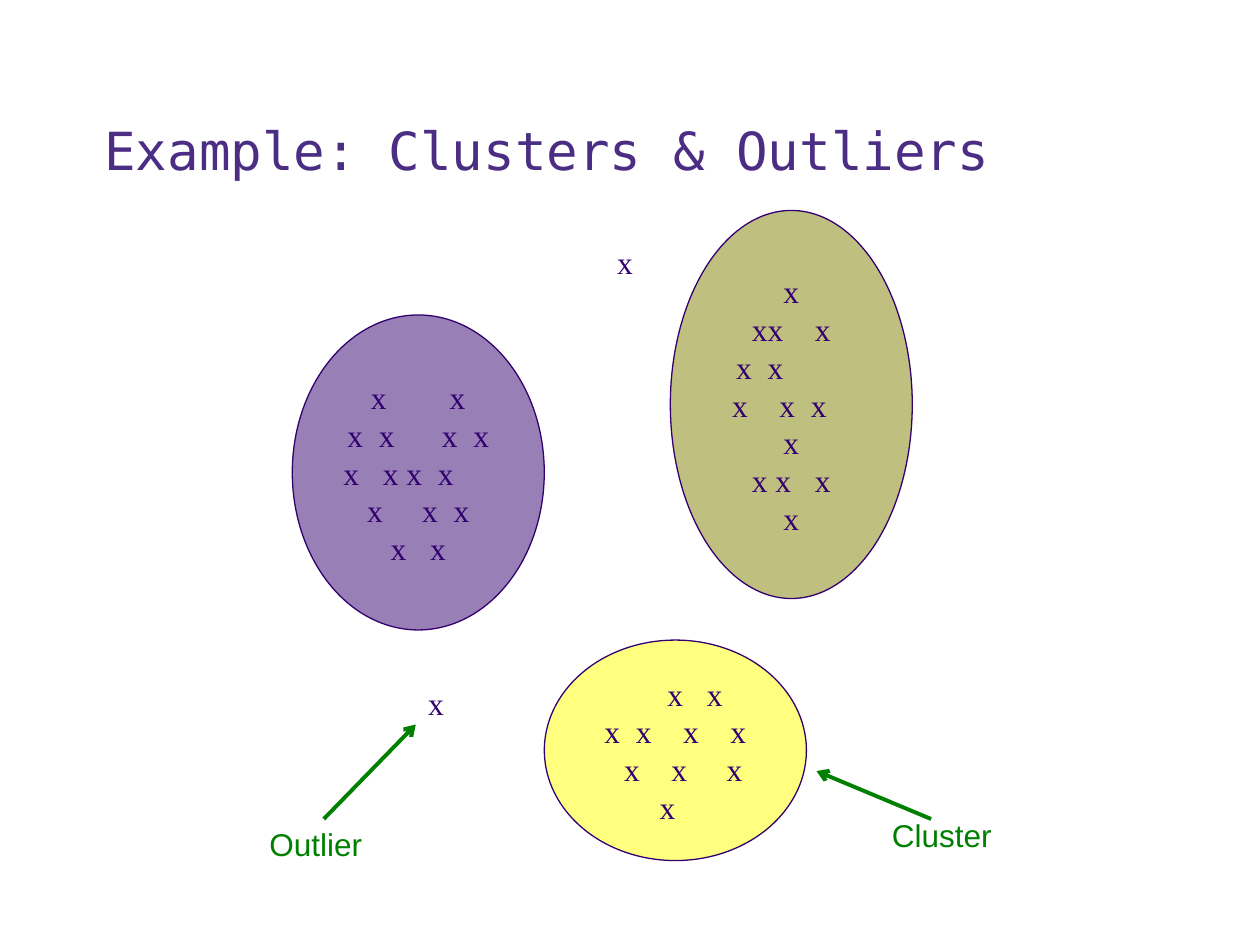
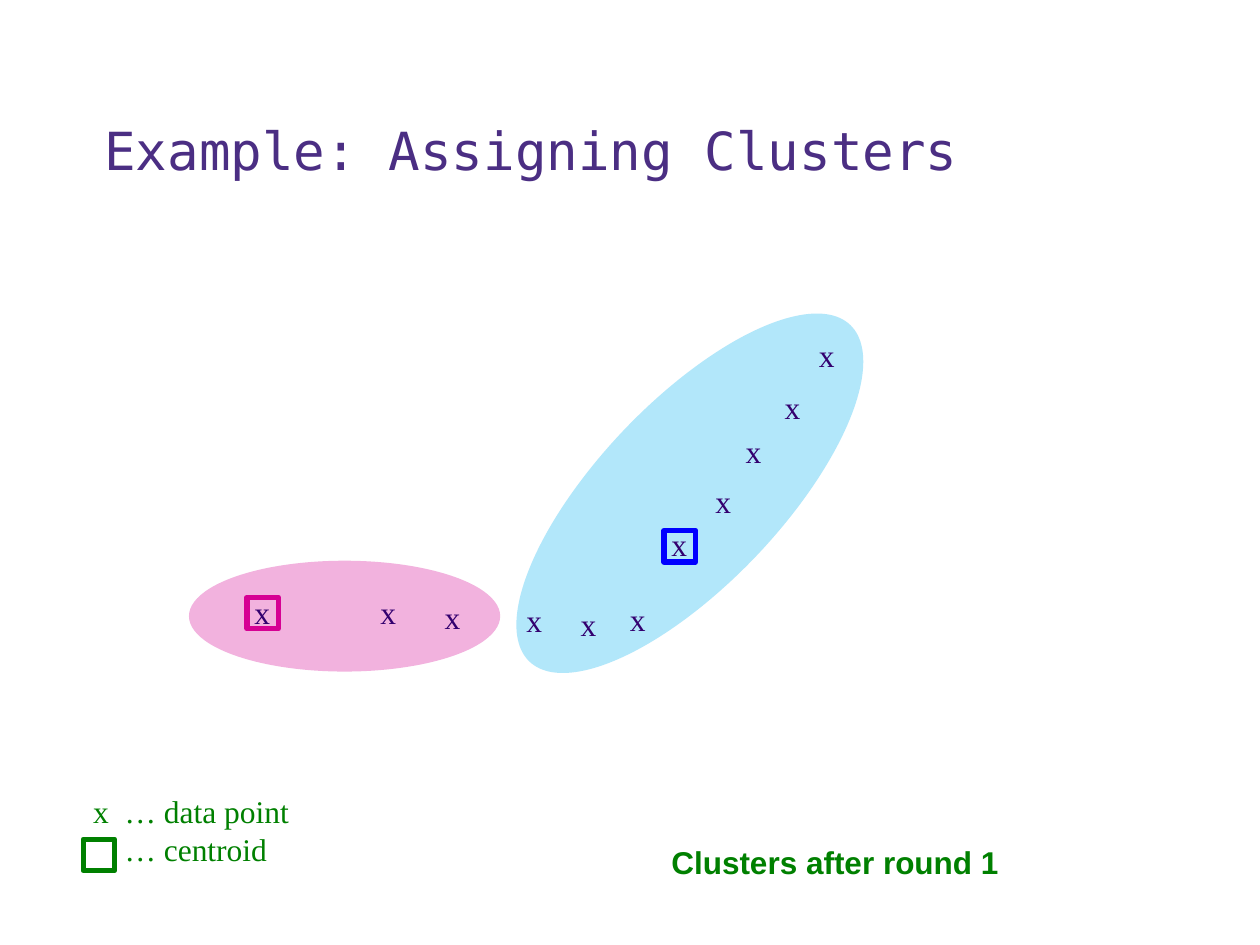
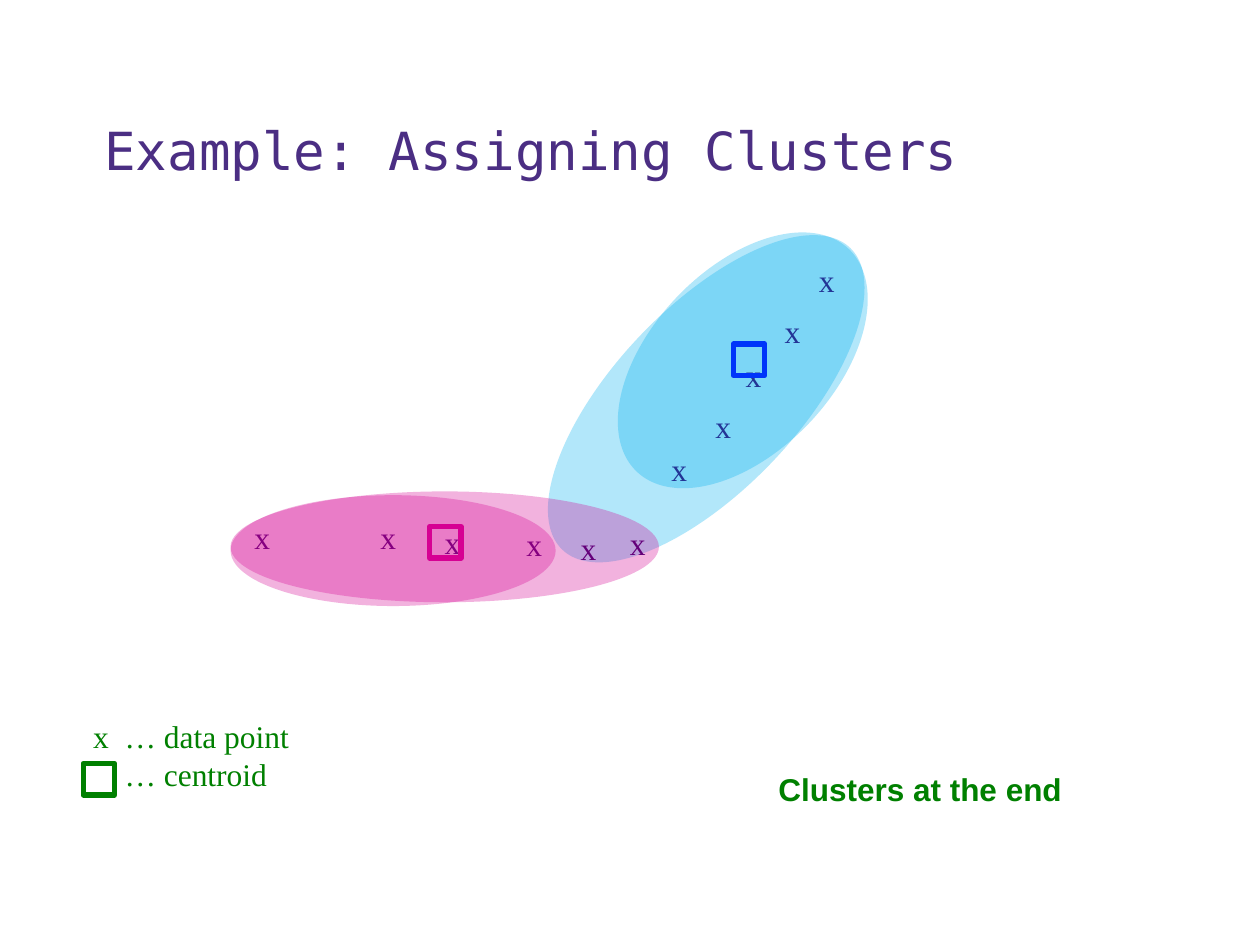
from lxml import etree
from pptx import Presentation
from pptx.dml.color import RGBColor
from pptx.enum.shapes import MSO_CONNECTOR as CONN, MSO_SHAPE as SHAPE
from pptx.enum.text import MSO_ANCHOR as ANCHOR
from pptx.oxml.ns import qn
from pptx.util import Inches, Pt

PURPLE = RGBColor(0x4B, 0x2E, 0x83)
INDIGO = RGBColor(0x33, 0x00, 0x6F)
GREEN = RGBColor(0x00, 0x80, 0x00)
OLIVE = RGBColor(0x80, 0x80, 0x00)
YELLOW = RGBColor(0xFF, 0xFF, 0x00)
PINK = RGBColor(0xD6, 0x00, 0x93)
SKY = RGBColor(0x00, 0xB0, 0xF0)
BLUE = RGBColor(0x00, 0x00, 0xFF)

MONO, SERIF, SANS = "DejaVu Sans Mono", "Times New Roman", "Arial"
COLS, ROWS = 10, 7.5  # slide grid, one inch per cell
CELL = Inches(1)
TITLE_BOX = (0.73, 0.41, 8.95, 1.08)
CHAR = 1 / 16  # column width inside a cluster: half the width of an x
INSCRIBED = 0.5 ** 0.5  # share of an ellipse's width open to text
TILT = 43.6

# Each row maps centres, in CHAR columns from the cluster's centre, to markers
CLUSTERS = [
    ((2.32, 2.5, 2, 2.5), INDIGO,
     [{-5: "x", 5: "x"}, {-8: "x", -4: "x", 4: "x", 8: "x"}, {-8.5: "x", -2: "x x", 3.5: "x"},
      {-5.5: "x", 1.5: "x", 5.5: "x"}, {-2.5: "x", 2.5: "x"}]),
    ((5.32, 1.67, 1.92, 3.08), OLIVE,
     [{0: "x"}, {-3: "xx", 4: "x"}, {-6: "x", -2: "x"}, {-6.5: "x", -0.5: "x", 3.5: "x"},
      {0: "x"}, {-2.5: "x x", 4: "x"}, {0: "x"}]),
    ((4.32, 5.08, 2.08, 1.75), YELLOW,
     [{0: "x", 5: "x"}, {-8: "x", -4: "x", 2: "x", 8: "x"},
      {-5.5: "x", 0.5: "x", 7.5: "x"}, {-1: "x"}]),
]
OUTLIERS = [(4.8, 1.88), (3.3, 5.38)]
# Label, its box, then the start and end of its arrow
CALLOUTS = [
    ("Outlier", (2.04, 6.5, 0.95, 0.4), (2.57, 6.5), (3.3, 5.75)),
    ("Cluster", (6.98, 6.43, 1, 0.4), (7.39, 6.5), (6.48, 6.12)),
]
# Relative to the corner of the scatter region
POINTS = [(0.42, 2.16), (1.42, 2.16), (1.93, 2.2), (2.58, 2.22), (3.01, 2.25), (3.4, 2.21),
          (3.73, 1.62), (4.08, 1.28), (4.32, 0.88), (4.63, 0.53), (4.9, 0.12)]


def cells(*lengths):
    return [round(n * CELL) for n in lengths]


def shifted(origin, box):
    return (origin[0] + box[0], origin[1] + box[1], *box[2:])


def style(p, font, color, size=18, bold=False):
    p.font.name, p.font.size, p.font.bold = font, Pt(size), bold
    p.font.color.rgb = color


def set_tabs(p, stops, align):
    """Add tab stops, given in cells from the left of the text."""
    tabs = etree.SubElement(p._p.get_or_add_pPr(), qn("a:tabLst"))
    for stop in stops:
        etree.SubElement(tabs, qn("a:tab"), pos=str(round(stop * CELL)), algn=align)


def add_text(s, box, text, font, color, size=18, bold=False, wrap=False):
    tf = s.shapes.add_textbox(*cells(*box)).text_frame
    tf.word_wrap = wrap
    tf.text = text
    style(tf.paragraphs[0], font, color, size, bold)
    return tf


def add_title(s, text):
    tf = add_text(s, TITLE_BOX, text, MONO, PURPLE, 30, wrap=True)
    tf.vertical_anchor = ANCHOR.BOTTOM
    tf.paragraphs[0].line_spacing = 0.9


def add_ellipse(s, box, color, opacity):
    sp = s.shapes.add_shape(SHAPE.OVAL, *cells(*box))
    sp.shadow.inherit = False
    sp.fill.solid()
    sp.fill.fore_color.rgb = color
    clr = sp._element.spPr.find(".//" + qn("a:srgbClr"))
    etree.SubElement(clr, qn("a:alpha"), val=str(opacity * 1000))
    sp.line.fill.background()
    return sp


def add_marker(s, corner):
    add_text(s, (*corner, 0.33, 0.4), "x", SERIF, INDIGO)


def add_centroid(s, corner, color):
    sp = s.shapes.add_shape(SHAPE.RECTANGLE, *cells(*corner, 0.25, 0.25))
    sp.shadow.inherit = False
    sp.fill.background()
    sp.line.color.rgb = color
    sp.line.width = Pt(3)


def add_arrow(s, start, end):
    line = s.shapes.add_connector(CONN.STRAIGHT, *cells(*start, *end))
    line.line.color.rgb = GREEN
    line.line.width = Pt(2.25)
    etree.SubElement(line.line._get_or_add_ln(), qn("a:tailEnd"), type="arrow")
    etree.SubElement(line._element.spPr, qn("a:effectLst"))


def add_cluster(s, box, color, rows):
    """Draw an ellipse with rows of markers set on centred tab stops."""
    sp = add_ellipse(s, box, color, 50)
    sp.line.color.rgb = INDIGO
    sp.line.width = Pt(0.75)
    tf = sp.text_frame
    tf.word_wrap = True
    tf.vertical_anchor = ANCHOR.MIDDLE
    tf.margin_left = tf.margin_right = tf.margin_top = tf.margin_bottom = 0
    tf.text = "\n".join("".join("\t" + mark for mark in row.values()) for row in rows)
    middle = box[2] * INSCRIBED / 2
    for p, row in zip(tf.paragraphs, rows):
        p._p.get_or_add_pPr().set("algn", "l")
        set_tabs(p, [middle + col * CHAR for col in row], "ctr")
        style(p, SERIF, INDIGO)


def add_legend(s, corner):
    tf = add_text(s, (*corner, 1.9, 0.71), "x\t… data point\n\t… centroid", SERIF, GREEN, wrap=True)
    for p in tf.paragraphs:
        set_tabs(p, [0.25], "l")
        style(p, SERIF, GREEN)
    add_centroid(s, shifted(corner, (0.02, 0.42)), GREEN)


def add_groups(s, origin, groups):
    for box, color in groups:
        sp = add_ellipse(s, shifted(origin, box), color, 30)
        sp.rotation = TILT if color == SKY else 0


def add_scatter(s, origin, under, centroids, over=()):
    """Draw the data points, with groups under and over them."""
    add_groups(s, origin, under)
    for point in POINTS:
        add_marker(s, shifted(origin, point))
    for corner, color in centroids:
        add_centroid(s, shifted(origin, corner), color)
    add_groups(s, origin, over)


def outlier_slide(s):
    add_title(s, "Example: Clusters & Outliers")
    for cluster in CLUSTERS:
        add_cluster(s, *cluster)
    for corner in OUTLIERS:
        add_marker(s, corner)
    for label, box, start, end in CALLOUTS:
        add_arrow(s, start, end)
        add_text(s, box, label, SANS, GREEN)


def assignment_slide(s, top, caption, caption_box, *scatter):
    add_title(s, "Example: Assigning Clusters")
    add_scatter(s, (1.5, top), *scatter)
    add_legend(s, (0.64, top + 3.74))
    add_text(s, caption_box, caption, SANS, GREEN, bold=True)


def main():
    prs = Presentation()
    prs.slide_width, prs.slide_height = cells(COLS, ROWS)
    first, second, third = (prs.slides.add_slide(prs.slide_layouts[6]) for _ in range(3))
    outlier_slide(first)
    assignment_slide(
        second, 2.5, "Clusters after round 1", (5.23, 6.64, 2.82, 0.4),
        [((0, 1.95, 2.47, 0.88), PINK), ((3.25, -0.43, 1.45, 3.69), SKY)],
        [((3.77, 1.71), BLUE), ((0.46, 2.24), PINK)])
    assignment_slide(
        third, 1.9, "Clusters at the end", (6.08, 6.06, 2.47, 0.4),
        [((3.38, -0.39, 1.45, 3.31), SKY)],
        [((4.32, 0.83), BLUE), ((1.91, 2.28), PINK)],
        [((0.33, 2.03, 2.58, 0.88), PINK), ((0.33, 2, 3.4, 0.88), PINK),
         ((3.67, -0.26, 1.45, 2.44), SKY)])
    prs.save("out.pptx")


if __name__ == "__main__":
    main()
